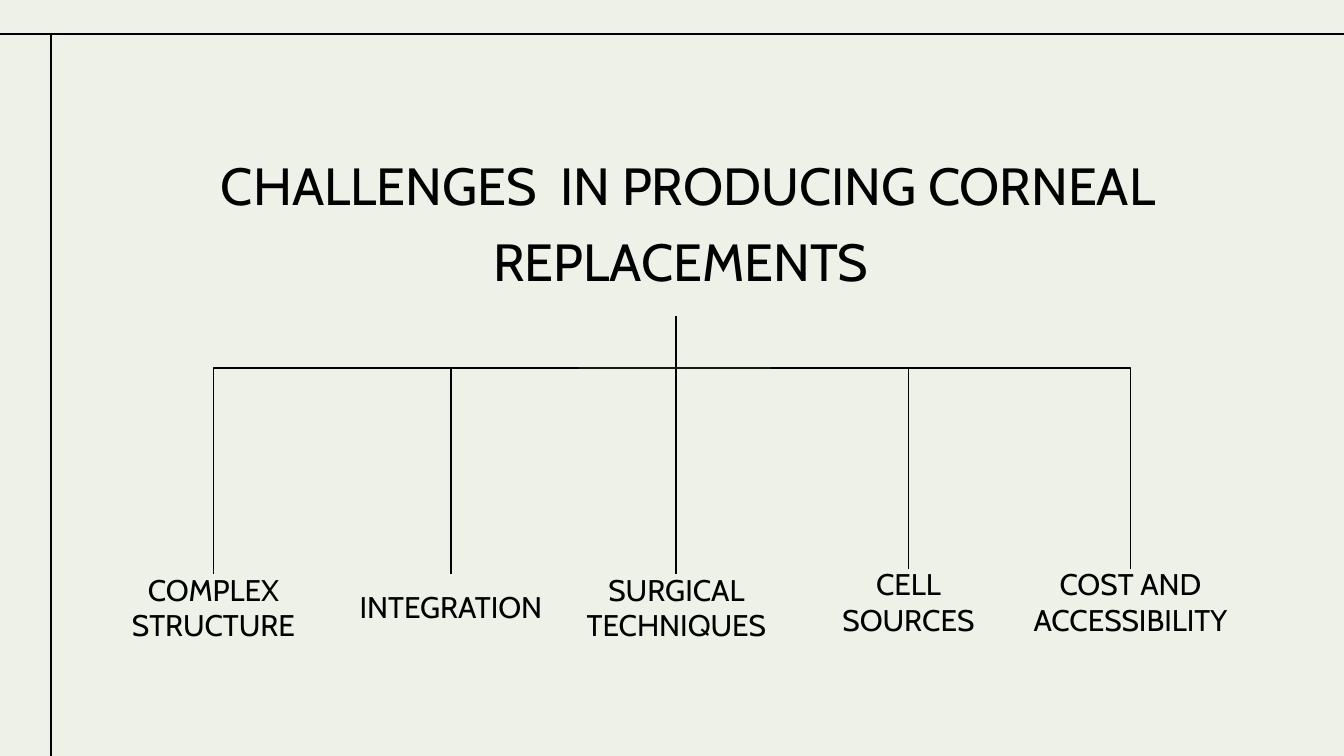
import pptx
import pptx.util
import pptx.dml.color
import pptx.enum.shapes
import pptx.enum.text
import pptx.oxml.ns
import lxml.etree

SCALE = 914400 / 134.4
WIDTH, HEIGHT = 1344, 756
BLACK, GRAY, PAPER = "000000", "191919", "EEF1E8"
FONT = "Cabin"
STRAIGHT = pptx.enum.shapes.MSO_CONNECTOR.STRAIGHT
ELBOW = pptx.enum.shapes.MSO_CONNECTOR.ELBOW
ANCHOR = pptx.enum.text.MSO_ANCHOR
CHALLENGES = [
    ("COMPLEX STRUCTURE", 0, 215, 206),
    ("INTEGRATION", 230, 230, 206),
    ("SURGICAL TECHNIQUES", 463, 215, 206),
    ("CELL SOURCES", 695, 215, 201),
    ("COST AND ACCESSIBILITY", 899, 251, 201),
]


def px(n):
    return pptx.util.Emu(round(n * SCALE))


def color(value):
    return pptx.dml.color.RGBColor.from_string(value)


def set_attrs(obj, values):
    for name, value in values.items():
        setattr(obj, name, value)


def add_line(s, x1, y1, x2, y2, line_color=BLACK, kind=STRAIGHT):
    line = s.shapes.add_connector(kind, px(x1), px(y1), px(x2), px(y2))
    set_attrs(line.line, {"width": pptx.util.Pt(0.75)})
    line.line.color.rgb = color(line_color)
    sp_pr = line._element.spPr
    lxml.etree.SubElement(sp_pr, pptx.oxml.ns.qn("a:effectLst"))
    if kind == ELBOW:
        sp_pr.find(pptx.oxml.ns.qn("a:prstGeom")).set("prst", "bentConnector2")


def write_text(sp, box, runs, anchor):
    set_attrs(sp, dict(zip(("left", "top", "width", "height"), map(px, box))))
    tf = sp.text_frame
    inset = pptx.util.Inches(0.1)
    set_attrs(tf, {
        "word_wrap": True, "vertical_anchor": anchor,
        "auto_size": pptx.enum.text.MSO_AUTO_SIZE.NONE,
        "margin_left": inset, "margin_right": inset,
        "margin_top": inset, "margin_bottom": inset,
    })
    p = tf.paragraphs[0]
    set_attrs(p, {
        "alignment": pptx.enum.text.PP_ALIGN.CENTER, "line_spacing": 1.0,
        "space_before": pptx.util.Pt(0),
    })
    for text, size in runs:
        r = p.add_run()
        r.text = text
        set_attrs(r.font, {"name": FONT, "size": pptx.util.Pt(size)})
        r.font.color.rgb = color(BLACK)


def add_frame(s, x, y, w, h):
    add_line(s, x - 7, y + 34, x + w + 3, y + 34)
    add_line(s, x + 51, y + 35, x + 51, y + h)


def add_title(s, x, y, w, h):
    runs = [("CHALLENGES  IN PRODUCING CORNEAL REPLACEMENTS", 28), (" ", 35)]
    write_text(s.shapes.title, (x, y, w, h), runs, ANCHOR.TOP)


def add_tree(s, x, y, w, h):
    label_height = 66
    trunk = x + 570
    hub_left, hub_right = x + 473, x + 665
    for text, left, width, top in CHALLENGES:
        box = (x + left, y + top, width, label_height)
        sp = s.shapes.add_textbox(*map(px, box))
        write_text(sp, box, [(text, 16)], ANCHOR.MIDDLE)
        center = x + left + width / 2
        if hub_left < center < hub_right:
            add_line(s, trunk, y + 71, trunk, y + top)
        else:
            start = hub_left if center < hub_left else hub_right
            add_line(s, start, y, center, y + top, kind=ELBOW)
    add_line(s, trunk, y + 89, trunk, y - 52)
    add_line(s, hub_left, y, hub_right, y, GRAY)


def main():
    prs = pptx.Presentation()
    set_attrs(prs, {"slide_width": px(WIDTH), "slide_height": px(HEIGHT)})
    s = prs.slides.add_slide(prs.slide_layouts[5])
    s.background.fill.solid()
    s.background.fill.fore_color.rgb = color(PAPER)
    add_frame(s, 0, 0, WIDTH, HEIGHT)
    add_title(s, 207, 140, 962, 198)
    add_tree(s, 106, 368, 1150, 272)
    prs.save("out.pptx")


if __name__ == "__main__":
    main()
